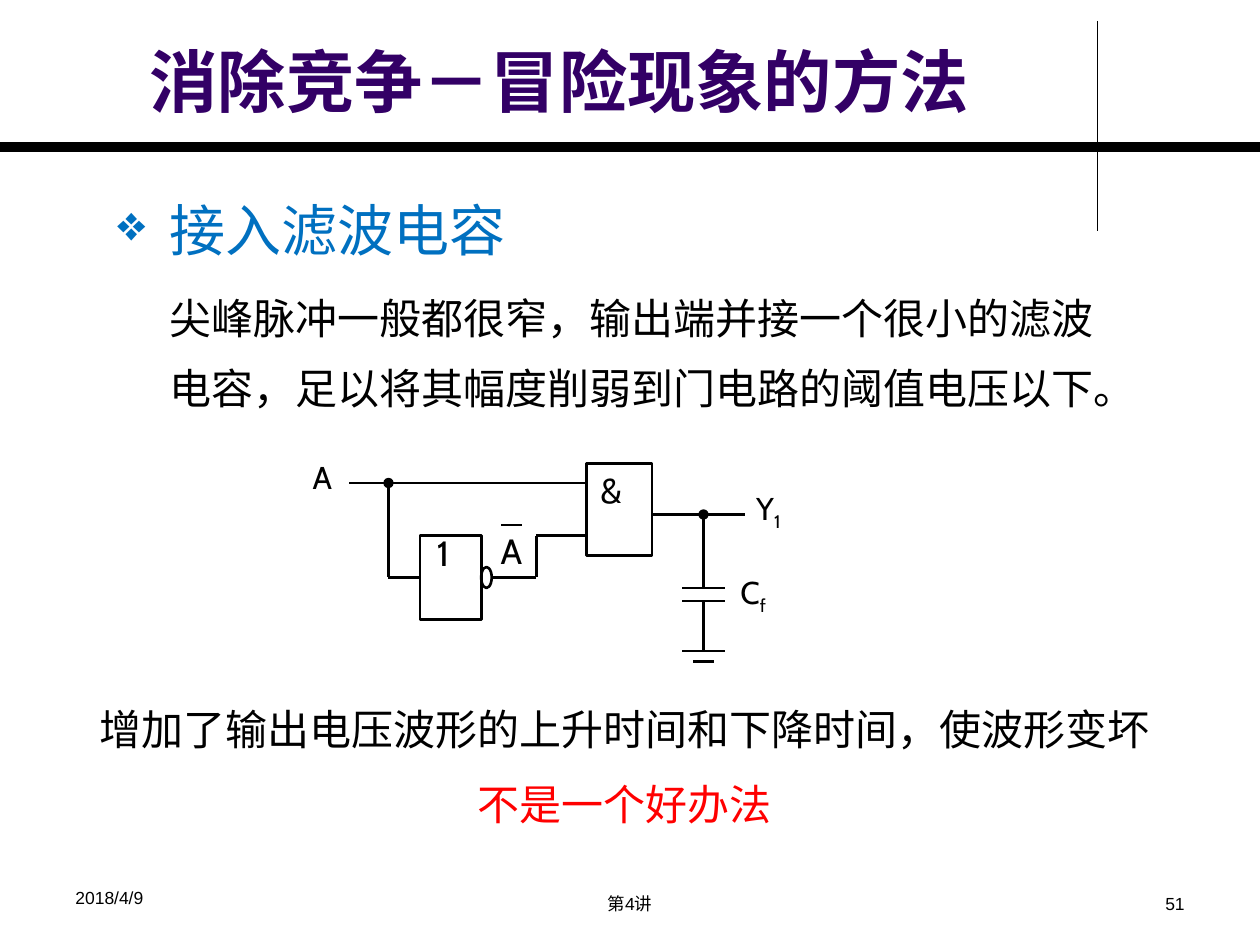
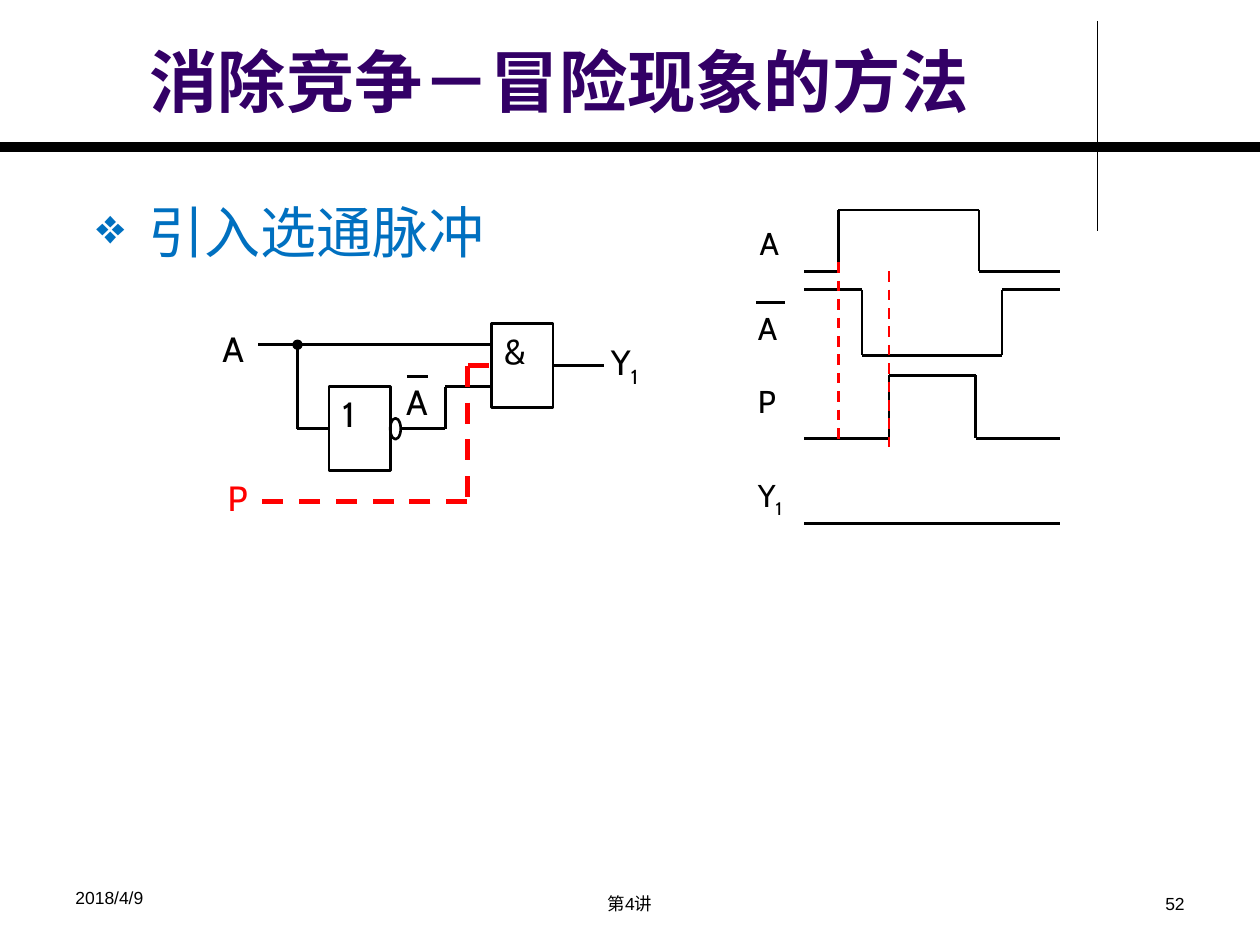
"""Two slides on removing race hazards from logic circuits."""
from lxml import etree
from pptx import Presentation
from pptx.dml.color import RGBColor
from pptx.enum import dml, shapes, text
from pptx.oxml import ns
from pptx.util import Pt

BLACK = RGBColor(0, 0, 0)
RED = RGBColor(255, 0, 0)
BLUE = RGBColor(0, 0x70, 0xC0)
PURPLE = RGBColor(0x33, 0, 0x66)
LEFT, MID, RIGHT = text.PP_ALIGN.LEFT, text.PP_ALIGN.CENTER, text.PP_ALIGN.RIGHT


def write(page, box, lines, size, font="Cabin", side=LEFT, space=None):
    """Add a text box; an underscore in a line starts a subscript."""
    frame = page.shapes.add_textbox(*[Pt(v) for v in box]).text_frame
    frame.word_wrap = True
    for i, (line, ink) in enumerate(lines):
        para = frame.paragraphs[0] if i == 0 else frame.add_paragraph()
        para.alignment = side
        para.line_spacing = space
        for k, part in enumerate(line.split("_")):
            run = para.add_run()
            run.text = part
            run.font.size = Pt(size)
            run.font.name = font
            run.font.color.rgb = ink
            if k:
                run._r.get_or_add_rPr().set("baseline", "-25000")
    return frame


def wire(page, points, ink=BLACK, width=1.5, dash=False, dot=False):
    """Join the points with straight connectors and return them."""
    parts = []
    for start, end in zip(points, points[1:]):
        part = page.shapes.add_connector(
            shapes.MSO_CONNECTOR.STRAIGHT, *[Pt(v) for v in start + end])
        part.line.color.rgb = ink
        part.line.width = Pt(width)
        if dash:
            part.line.dash_style = dml.MSO_LINE.DASH
        if dot and not parts:
            tip = etree.SubElement(part.line._get_or_add_ln(), ns.qn("a:headEnd"))
            tip.set("type", "oval")
        etree.SubElement(part._element.spPr, ns.qn("a:effectLst"))
        parts.append(part)
    return parts


deck = Presentation()
deck.slide_width, deck.slide_height = Pt(720), Pt(540)

plans = [
    dict(topic="接入滤波电容", head=(60, 108), number="51", inv=(240, 306),
         gate=(335, 265, 37.5, 52.5), rail=276, bar=46.5, out=(426, 294),
         one=(242.5, 300), amp=(336, 264), size=18,
         input=(171.5, 258), output=(425, 276)),
    dict(topic="引入选通脉冲", head=(48, 109.5), number="52", inv=(188, 221),
         gate=(281, 185, 35, 48), rail=197, bar=44.5, out=(345, 209),
         one=(188.5, 221), amp=(281, 185), size=20,
         input=(120, 183.5), output=(342, 191)),
]

pages = []
for plan in plans:
    page = deck.slides.add_slide(deck.slide_layouts[6])
    pages.append(page)
    wire(page, [(627, 12), (627, 132)], width=0.75)
    wire(page, [(0, 84), (720, 84)], width=6)
    title = write(page, (78.5, 14.5, 543.5, 58),
                  [("消除竞争－冒险现象的方法", PURPLE)], 39, "Arial")
    title.vertical_anchor = text.MSO_ANCHOR.BOTTOM
    title.paragraphs[0].runs[0].font.bold = True

    topic = write(page, plan["head"] + (243, 46), [(plan["topic"], BLUE)], 32)
    props = topic.paragraphs[0]._p.get_or_add_pPr()
    props.set("marL", str(Pt(30)))
    props.set("indent", str(Pt(-30)))
    etree.SubElement(props, ns.qn("a:buSzPct")).set("val", "88000")
    etree.SubElement(props, ns.qn("a:buChar")).set("char", "❖")

    x, y = plan["inv"]
    mid = y + 24
    blocks = []
    for kind, box in (
            (shapes.MSO_SHAPE.RECTANGLE, plan["gate"]),
            (shapes.MSO_SHAPE.RECTANGLE, (x, y, 35, 48)),
            (shapes.MSO_SHAPE.OVAL, (x + 35, y + 18, 6, 12))):
        block = page.shapes.add_shape(kind, *[Pt(v) for v in box])
        block.shadow.inherit = False
        block.fill.background()
        block.line.color.rgb = BLACK
        block.line.width = Pt(1.5)
        blocks.append(block)
    gate, inv, bubble = blocks

    edge = plan["gate"][0]
    rail = plan["rail"]
    wire(page, [(edge, rail), (x - 40.5, rail)])
    wire(page, [(x + 41, mid), (x + 66.5, mid), (x + 66.5, y), (edge, y)])
    stem = wire(page, [(x - 18, rail), (x - 18, mid), (x, mid)], dot=True)
    stem[-1].end_connect(inv, 1)
    exit = wire(page, [(edge + plan["gate"][2], plan["out"][1]), plan["out"]])
    if page is not pages[0]:
        exit[0].begin_connect(gate, 3)

    bar = x + plan["bar"]
    wire(page, [(bar, y - 6), (bar + 12, y - 6)])
    for sign, spot, size in (
            ("1", plan["one"], 20), ("&", plan["amp"], 20),
            ("A", (bar - 7.5, y - 7), 20),
            ("A", plan["input"], plan["size"]),
            ("Y_1", plan["output"], plan["size"])):
        write(page, spot + (40, 31), [(sign, BLACK)], size)

    for line, box, side in (
            ("2018/4/9", (36, 503.5, 168, 24.5), LEFT),
            ("第4讲", (246, 507, 228, 21), MID),
            (plan["number"], (516, 507, 168, 21), RIGHT)):
        write(page, box, [(line, BLACK)], 10, "Arial", side)

filter, strobe = pages

write(filter, (90, 152, 558, 83.5),
      [("尖峰脉冲一般都很窄，输出端并接一个很小的滤波电容，"
        "足以将其幅度削弱到门电路的阈值电压以下。", BLACK)], 24, space=1.4)
write(filter, (46, 384, 622, 94),
      [("增加了输出电压波形的上升时间和下降时间，使波形变坏", BLACK),
       ("不是一个好办法", RED)], 24, side=MID, space=1.5)
wire(filter, [(402, 294), (402, 336)], dot=True)
wire(filter, [(402, 343.5), (402, 372)])
for y, half in ((336, 12), (343.5, 12), (372, 12), (378, 6)):
    wire(filter, [(402 - half, y), (402 + half, y)])
write(filter, (416, 324, 40, 36), [("C_f", BLACK)], 18)

wire(strobe, [(267, 209), (267, 286.5), (147, 286.5)], RED, 3, dash=True)
wire(strobe, [(279.5, 209), (267, 209)], RED, 3, dash=True)
write(strobe, (123, 268.5, 40, 31), [("P", RED)], 20)

start, stop = 459.5, 606
for rise, fall, rest, peak in (
        (479, 559.5, 155, 120), (492.5, 572.5, 165.5, 203),
        (508, 557.5, 250.5, 214.5)):
    wire(strobe, [(start, rest), (rise, rest), (rise, peak),
                  (fall, peak), (fall, rest), (stop, rest)])
wire(strobe, [(start, 299), (stop, 299)])
wire(strobe, [(432, 173), (448.5, 173)])
for sign, x, y in (("A", 427, 124.5), ("A", 426, 173),
                   ("P", 426, 214.5), ("Y_1", 426, 268.5)):
    write(strobe, (x, y, 40, 36), [(sign, BLACK)], 18)
for x, top in ((479, 150), (508, 155)):
    wire(strobe, [(x, top), (x, top + 102)], RED, dash=True)

deck.save("out.pptx")
